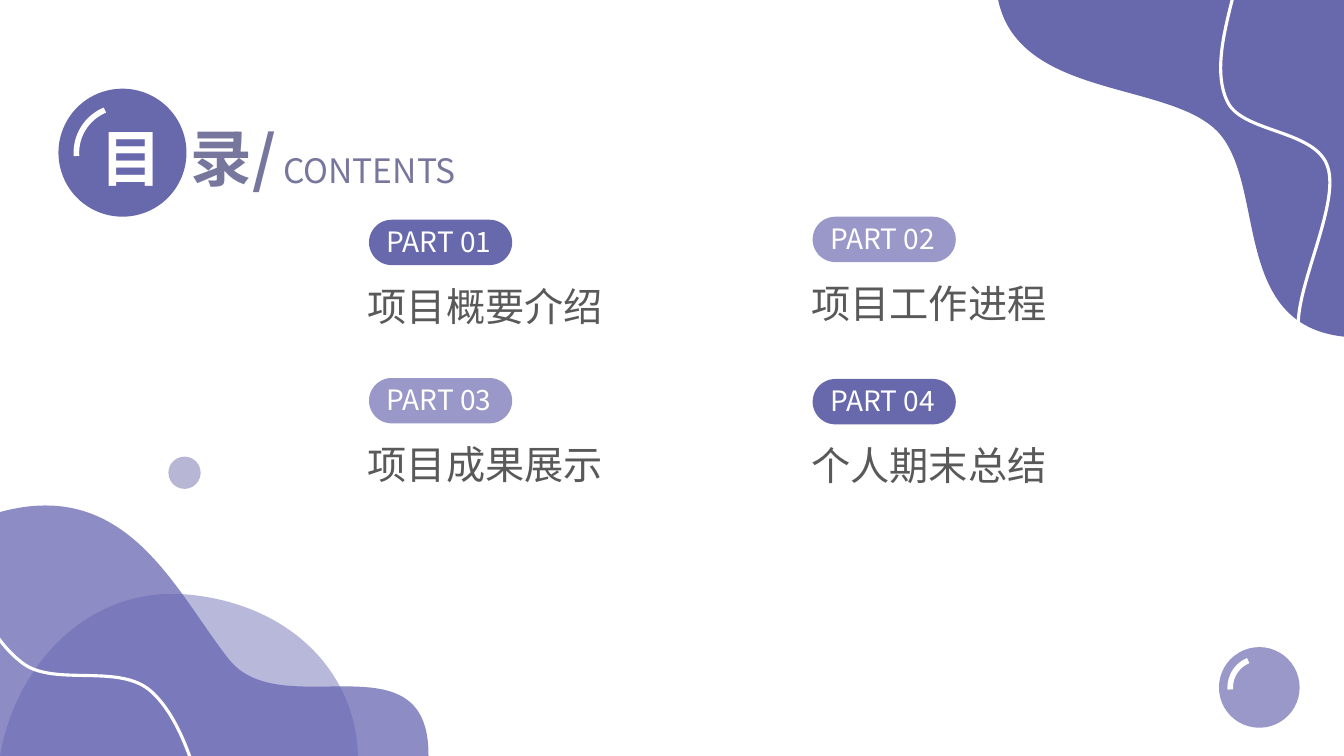
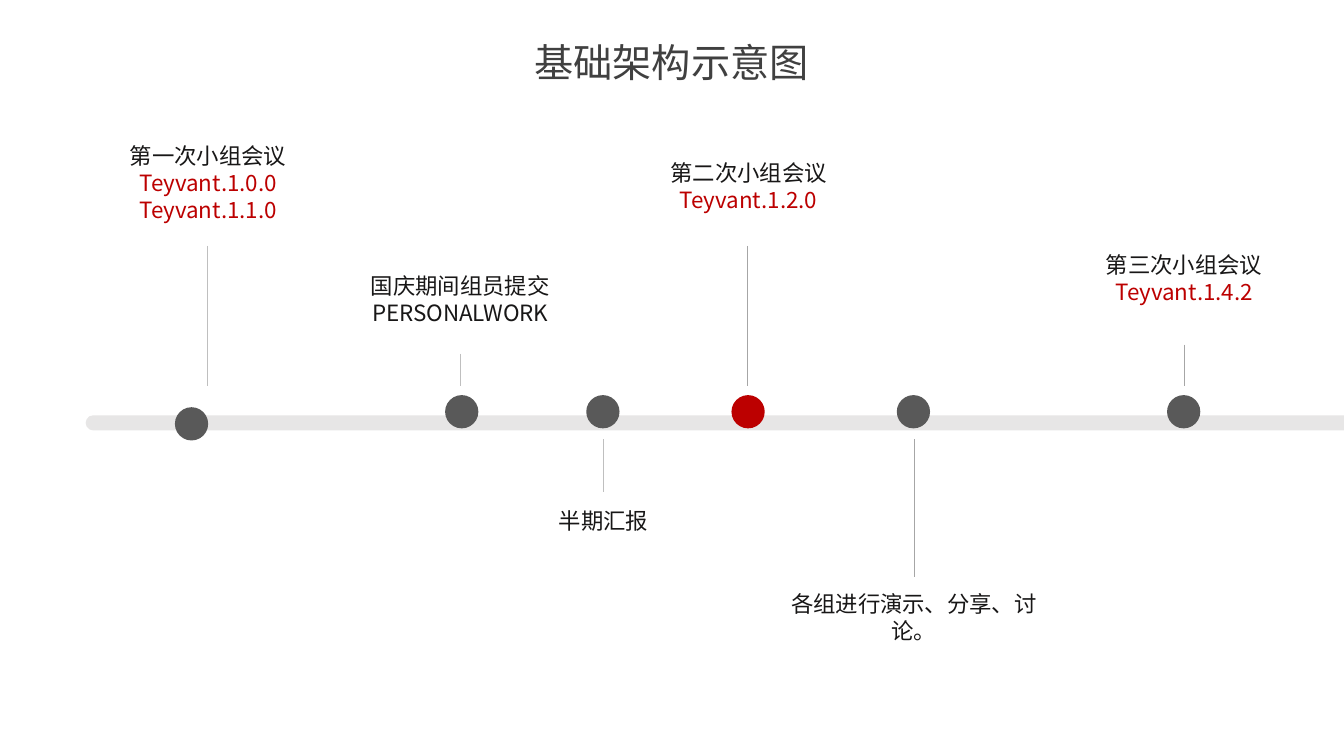
from lxml.etree import SubElement
from pptx import Presentation
from pptx.dml.color import RGBColor
from pptx.enum.shapes import MSO_CONNECTOR, MSO_SHAPE
from pptx.enum.text import MSO_ANCHOR, MSO_AUTO_SIZE, PP_ALIGN
from pptx.oxml.ns import qn
from pptx.util import Inches, Pt

FONT = "Noto Sans CJK SC"
WHITE = RGBColor(0xFF, 0xFF, 0xFF)
VIOLET = RGBColor(0x68, 0x68, 0xAC)
LILAC = RGBColor(0x99, 0x98, 0xC8)
PALE_LILAC = RGBColor(0xB8, 0xB6, 0xD5)
WAVE = RGBColor(0x63, 0x62, 0xB0)
HEADING = RGBColor(0x77, 0x77, 0x9E)
GREY = RGBColor(0x59, 0x59, 0x59)
TITLE_GREY = RGBColor(0x40, 0x40, 0x40)
INK = RGBColor(0x18, 0x17, 0x17)
RED = RGBColor(0xBC, 0x00, 0x00)
TRACK = RGBColor(0xE7, 0xE6, 0xE6)
LIGHT_STEM = RGBColor(0xBF, 0xBF, 0xBF)
DARK_STEM = RGBColor(0xA6, 0xA6, 0xA6)


def add_filled(slide, preset, left, top, width, height, color):
    shape = slide.shapes.add_shape(
        preset, Inches(left), Inches(top), Inches(width), Inches(height))
    shape.shadow.inherit = False
    shape.fill.solid()
    shape.fill.fore_color.rgb = color
    shape.line.fill.background()
    return shape


def add_run(paragraph, text, size, color, bold=False):
    run = paragraph.add_run()
    run.text = text
    run.font.size = Pt(size)
    run.font.bold = bold
    run.font.color.rgb = color
    run.font.name = FONT
    SubElement(run.font._element, qn("a:ea"), typeface=FONT)
    return run


prs = Presentation()
prs.slide_width, prs.slide_height = Inches(13.33), Inches(7.5)
title_only = prs.slide_layouts[5]
contents = prs.slides.add_slide(title_only)
timeline = prs.slides.add_slide(title_only)

# Titles
for slide, left, top, width, height in (
    (contents, 0.57, 1.14, 2.6, 0.84),
    (timeline, 3.34, 0.33, 6.64, 0.57),
):
    title = slide.shapes.title
    title.left, title.top = Inches(left), Inches(top)
    title.width, title.height = Inches(width), Inches(height)
    title.text_frame.word_wrap = True
    title.text_frame.auto_size = MSO_AUTO_SIZE.NONE
    title.text_frame.vertical_anchor = MSO_ANCHOR.TOP
    title.text_frame.paragraphs[0].alignment = PP_ALIGN.CENTER

contents_title = contents.shapes.title.text_frame.paragraphs[0]
first_character = add_run(contents_title, "目", 44, WHITE, bold=True)
first_character.font._element.set("spc", "2000")
add_run(contents_title, "录/", 44, HEADING, bold=True)
add_run(timeline.shapes.title.text_frame.paragraphs[0],
        "基础架构示意图", 28, TITLE_GREY)

# Contents: waves in the corners. A step is the end of a straight line,
# or two control points and the end of a Bezier curve.
waves = [
    ((0, 7.5), [(0.15, 6.61, 0.87, 5.8, 1.88, 5.9),
                (2.88, 6, 3.53, 6.67, 3.55, 7.5)], WAVE, 45),
    ((0, 5.08), [(1.27, 4.73, 1.74, 5.87, 2.27, 6.54),
                 (2.79, 7.2, 4.26, 6.28, 4.25, 7.5), (0, 7.5)], WAVE, 73),
    ((9.9, 0), [(13.33, 0), (13.33, 3.34),
                (12.21, 3.22, 12.56, 1.85, 12.09, 1.32),
                (11.62, 0.8, 10.11, 0.99, 9.9, 0)], VIOLET, 100),
    ((12.25, -0.11), [(12.14, 0.31, 12.03, 0.73, 12.18, 1.02),
                      (12.34, 1.32, 13.06, 1.29, 13.17, 1.66),
                      (13.29, 2.03, 12.84, 2.87, 12.88, 3.26),
                      (12.92, 3.64, 13.16, 3.82, 13.41, 3.99)], None, 100),
    ((-0.4, 5.53), [(-0.24, 5.95, -0.08, 6.36, 0.24, 6.59),
                    (0.56, 6.81, 1.19, 6.58, 1.5, 6.86),
                    (1.81, 7.14, 1.96, 7.7, 2.1, 8.26)], None, 100),
]
for start, steps, color, opacity in waves:
    builder = contents.shapes.build_freeform(Inches(start[0]), Inches(start[1]))
    builder.add_line_segments(
        [(Inches(step[-2]), Inches(step[-1])) for step in steps],
        close=color is not None)
    wave = builder.convert_to_shape()
    wave.shadow.inherit = False
    # Bend the segments that have control points
    for segment, step in zip(list(wave.element.iter(qn("a:lnTo"))), steps):
        if len(step) == 6:
            segment.tag = qn("a:cubicBezTo")
            for i in (0, 2):
                control = segment.makeelement(qn("a:pt"), {
                    "x": str(Inches(step[i]) - wave.left),
                    "y": str(Inches(step[i + 1]) - wave.top)})
                segment.insert(i // 2, control)
    if color is None:
        wave.fill.background()
        wave.line.color.rgb = WHITE
        wave.line.width = Pt(2.25)
    else:
        wave.fill.solid()
        wave.fill.fore_color.rgb = color
        wave.line.fill.background()
        if opacity < 100:
            rgb = wave.element.spPr.find(qn("a:solidFill")).find(qn("a:srgbClr"))
            SubElement(rgb, qn("a:alpha"), val=str(opacity * 1000))

# Contents: balls with a highlight
for left, top, size, color in ((0.58, 0.88, 1.27, VIOLET), (12.09, 6.42, 0.8, LILAC)):
    add_filled(contents, MSO_SHAPE.OVAL, left, top, size, size, color)
    inset = size * 0.14
    highlight_size = size - 2 * inset
    highlight = contents.shapes.add_shape(
        MSO_SHAPE.ARC, Inches(left + inset), Inches(top + inset),
        Inches(highlight_size), Inches(highlight_size))
    highlight.adjustments[0] = 105.54
    highlight.adjustments[1] = 148.53
    highlight.shadow.inherit = False
    highlight.fill.background()
    highlight.line.color.rgb = WHITE
    highlight.line.width = Pt(4)
add_filled(contents, MSO_SHAPE.OVAL, 1.67, 4.53, 0.32, 0.32, PALE_LILAC)

# The title stands in front of the ball
contents.shapes.element.append(contents.shapes.title.element)
subtitle = contents.shapes.add_textbox(
    Inches(2.71), Inches(1.44), Inches(2.28), Inches(0.5))
subtitle.text_frame.word_wrap = True
add_run(subtitle.text_frame.paragraphs[0], "CONTENTS", 24, HEADING)

# Contents: the four parts
parts = [
    (3.66, 2.18, VIOLET, "项目概要介绍"),
    (8.06, 2.15, LILAC, "项目工作进程"),
    (3.66, 3.75, LILAC, "项目成果展示"),
    (8.06, 3.76, VIOLET, "个人期末总结"),
]
for number, (left, top, color, heading) in enumerate(parts, 1):
    pill = add_filled(contents, MSO_SHAPE.ROUNDED_RECTANGLE,
                      left, top, 1.42, 0.45, color)
    pill.adjustments[0] = 0.5
    pill.text_frame.word_wrap = False
    pill.text_frame.margin_right = Inches(0.13)
    pill.text_frame.margin_bottom = Inches(0.07)
    pill_label = pill.text_frame.paragraphs[0]
    pill_label.alignment = PP_ALIGN.CENTER
    add_run(pill_label, f"PART {number:02}", 20, WHITE)
    part_heading = contents.shapes.add_textbox(
        Inches(left - 0.11), Inches(top + 0.57), Inches(3.43), Inches(0.57))
    part_heading.text_frame.word_wrap = True
    add_run(part_heading.text_frame.paragraphs[0], heading, 28, GREY)

# Timeline
track = add_filled(timeline, MSO_SHAPE.ROUNDED_RECTANGLE,
                   0.85, 4.12, 12.67, 0.15, TRACK)
track.adjustments[0] = 0.5

DOT = 0.33
LABEL_WIDTH = 2.81
# stem x, dot centre, dot top, dot colour, stem from, to, colour,
# label left, top, height, lines
milestones = [
    (2.06, 1.9, 4.04, GREY, 2.44, 3.83, LIGHT_STEM, 0.66, 1.36, 1.18,
     ["第一次小组会议", "Teyvant.1.0.0", "Teyvant.1.1.0"]),
    (4.57, 4.58, 3.92, GREY, 3.51, 3.83, LIGHT_STEM, 3.16, 2.65, 0.64,
     ["国庆期间组员提交PERSONALWORK"]),
    (5.98, 5.98, 3.92, GREY, 4.36, 4.88, LIGHT_STEM, 4.58, 4.98, 0.37, ["半期汇报"]),
    (7.41, 7.42, 3.92, RED, 2.44, 3.83, DARK_STEM, 6.02, 1.53, 0.64,
     ["第二次小组会议", "Teyvant.1.2.0"]),
    (9.07, 9.06, 3.92, GREY, 4.36, 5.72, DARK_STEM, 7.66, 5.81, 0.64,
     ["各组进行演示、分享、讨论。"]),
    (11.75, 11.74, 3.92, GREY, 3.42, 3.83, DARK_STEM, 10.34, 2.44, 0.91,
     ["第三次小组会议", "Teyvant.1.4.2"]),
]
for (stem_x, dot_center, dot_top, dot_color, stem_top, stem_bottom, stem_color,
     label_left, label_top, label_height, lines) in milestones:
    add_filled(timeline, MSO_SHAPE.OVAL, dot_center - DOT / 2, dot_top, DOT, DOT, dot_color)
    stem = timeline.shapes.add_connector(
        MSO_CONNECTOR.STRAIGHT, Inches(stem_x), Inches(stem_top),
        Inches(stem_x), Inches(stem_bottom))
    stem.line.color.rgb = stem_color
    stem.line.width = Pt(0.5)
    SubElement(stem.element.spPr, qn("a:effectLst"))
    label = timeline.shapes.add_textbox(
        Inches(label_left), Inches(label_top),
        Inches(LABEL_WIDTH), Inches(label_height))
    label.text_frame.word_wrap = True
    for i, line in enumerate(lines):
        paragraph = (label.text_frame.add_paragraph() if i
                     else label.text_frame.paragraphs[0])
        paragraph.alignment = PP_ALIGN.CENTER
        add_run(paragraph, line, 16, RED if i else INK)

prs.save("out.pptx")
